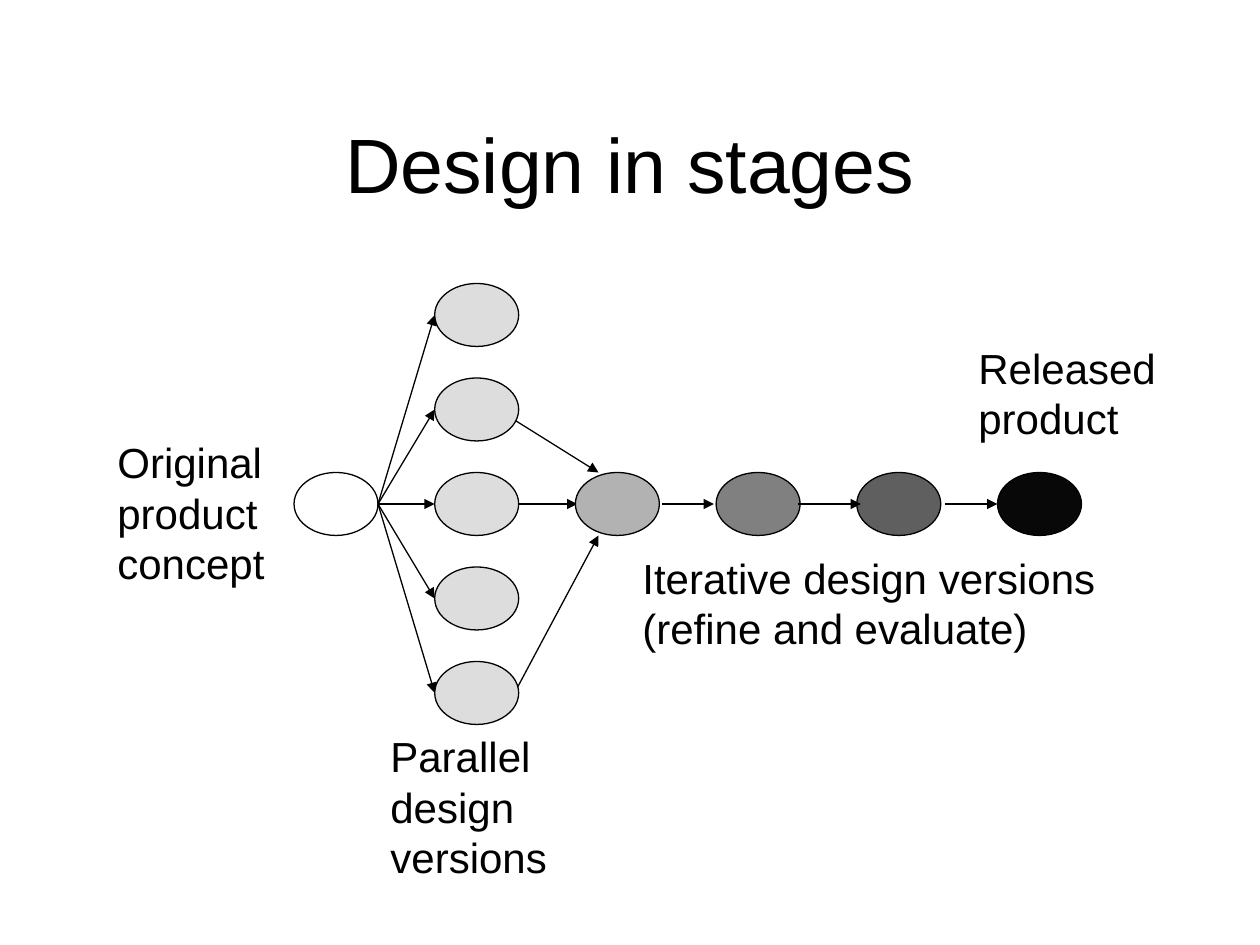
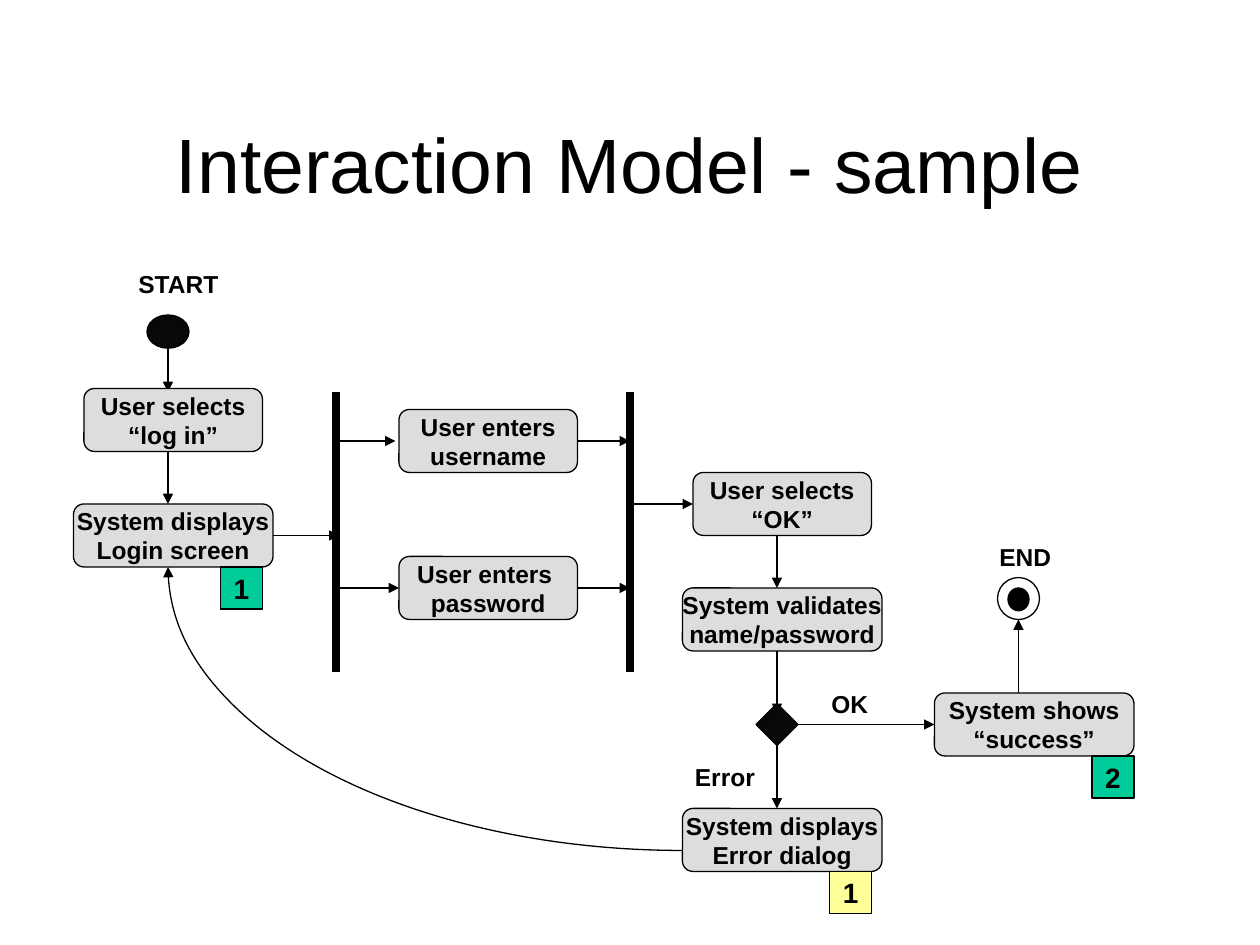
import pptx
import pptx.dml.color
import pptx.enum.shapes
import pptx.enum.text
import pptx.oxml.ns
import pptx.util
from lxml import etree

Pt = pptx.util.Pt
RGBColor = pptx.dml.color.RGBColor
SHAPE = pptx.enum.shapes.MSO_SHAPE
ALIGN = pptx.enum.text.PP_ALIGN
ANCHOR = pptx.enum.text.MSO_ANCHOR
AUTO = pptx.enum.text.MSO_AUTO_SIZE
qn = pptx.oxml.ns.qn

FONT = "Arial"
BLACK = RGBColor(0x00, 0x00, 0x00)
WHITE = RGBColor(0xFF, 0xFF, 0xFF)
INK = RGBColor(0x08, 0x08, 0x08)
PALE = RGBColor(0xDD, 0xDD, 0xDD)
SILVER = RGBColor(0xB2, 0xB2, 0xB2)
MID = RGBColor(0x80, 0x80, 0x80)
DARK = RGBColor(0x5F, 0x5F, 0x5F)
GREEN = RGBColor(0x00, 0xCC, 0x99)
YELLOW = RGBColor(0xFF, 0xFF, 0x99)


# ---- Kinds of element ----
def write(tf, text, size=14, bold=False, align=ALIGN.LEFT, anchor=ANCHOR.TOP,
          wrap=True, auto=AUTO.NONE):
    """Fill a text frame, one paragraph per line of text."""
    tf.word_wrap = wrap
    tf.auto_size = auto
    tf.vertical_anchor = anchor
    for i, line in enumerate(text.split("\n")):
        p = tf.paragraphs[0] if i == 0 else tf.add_paragraph()
        p.alignment = align
        r = p.add_run()
        r.text = line
        r.font.name = FONT
        r.font.size = Pt(size)
        r.font.bold = bold
        r.font.color.rgb = BLACK


def add_titled_slide(prs, title):
    s = prs.slides.add_slide(prs.slide_layouts[5])
    sp = s.shapes.title
    sp.left, sp.top, sp.width, sp.height = Pt(54), Pt(48), Pt(612), Pt(90)
    write(sp.text_frame, title, size=44, align=ALIGN.CENTER,
          anchor=ANCHOR.MIDDLE)
    return s


def add_label(s, text, x, y, w, h, **fmt):
    sp = s.shapes.add_textbox(Pt(x), Pt(y), Pt(w), Pt(h))
    write(sp.text_frame, text, auto=AUTO.SHAPE_TO_FIT_TEXT, **fmt)


def add_node(s, kind, x, y, w, h, fill=None, text=None, size=14):
    sp = s.shapes.add_shape(kind, Pt(x), Pt(y), Pt(w), Pt(h))
    sp.shadow.inherit = False
    if fill is None:
        sp.fill.background()
    else:
        sp.fill.solid()
        sp.fill.fore_color.rgb = fill
    sp.line.color.rgb = BLACK
    sp.line.width = Pt(0.75)
    if text:
        write(sp.text_frame, text, size=size, bold=True, align=ALIGN.CENTER,
              anchor=ANCHOR.MIDDLE, wrap=False)
    return sp


def add_arrowhead(sp):
    ln = sp._element.spPr.find(qn("a:ln"))
    etree.SubElement(ln, qn("a:tailEnd"), type="triangle")


def add_line(s, x1, y1, x2, y2, width=0.75, arrow=True):
    line = s.shapes.add_connector(pptx.enum.shapes.MSO_CONNECTOR.STRAIGHT,
                                  Pt(x1), Pt(y1), Pt(x2), Pt(y2))
    line.line.color.rgb = BLACK
    line.line.width = Pt(width)
    if arrow:
        add_arrowhead(line)
    etree.SubElement(line._element.spPr, qn("a:effectLst"))


# ---- Slide 1 ----
def build_stages(prs):
    s = add_titled_slide(prs, "Design in stages")
    first_x, step_x, mid_y, step_y = 192, 80.4, 288, 54

    def add_version(col, row, fill):
        add_node(s, SHAPE.OVAL, first_x + col * step_x - 24,
                 mid_y + row * step_y - 18, 48, 36, fill)

    # Parallel versions merging into one
    for x1, y1, x2, y2 in [(294, 240, 342, 270), (294, 288, 330, 288),
                           (294, 396, 342, 306)]:
        add_line(s, x1, y1, x2, y2)

    # Concept fanning out to parallel versions
    add_version(0, 0, None)
    for row in range(-2, 3):
        add_version(1, row, PALE)
        add_line(s, 216, mid_y, 248.4, mid_y + row * step_y)

    # Iterative versions up to release
    for col, fill in enumerate([SILVER, MID, DARK, INK], start=2):
        add_version(col, 0, fill)
    for x1, x2 in [(378, 408), (456, 492), (540, 570)]:
        add_line(s, x1, mid_y, x2, mid_y)

    for text, x, y, w, h in [
        ("Original product concept", 60, 246, 114, 94),
        ("Parallel design versions", 216, 414, 121, 94),
        ("Iterative design versions (refine and evaluate)", 360, 312, 276, 65),
        ("Released product", 552, 192, 121, 65),
    ]:
        add_label(s, text, x, y, w, h, size=24)


# ---- Slide 2 ----
def build_interaction(prs):
    s = add_titled_slide(prs, "Interaction Model - sample")

    # Return path from the error dialog to the login screen
    arc = add_node(s, SHAPE.ARC, 96, 162, 588, 324)
    arc.adjustments[0], arc.adjustments[1] = 54, 108  # 90 to 180 degrees
    add_arrowhead(arc)

    # Flow arrows
    for x1, y1, x2, y2 in [
        (96, 198, 96, 224), (96, 258, 96, 288), (156, 306, 194, 306),
        (192, 252, 226, 252), (192, 336, 228, 336),
        (330, 252, 360, 252), (330, 336, 360, 336), (360, 288, 396, 288),
        (444, 306, 444, 336), (444, 372, 444, 408), (456, 414, 534, 414),
        (444, 426, 444, 462), (582, 396, 582, 354),
    ]:
        add_line(s, x1, y1, x2, y2)

    # Fork and join bars
    for x in (192, 360):
        add_line(s, x, 224, x, 384, width=4.5, arrow=False)

    # Steps
    for text, x, y, w in [
        ("User selects\n“log in”", 48, 222, 102),
        ("System displays\nLogin screen", 42, 288, 114),
        ("User enters\nusername", 228, 234, 102),
        ("User enters \npassword", 228, 318, 102),
        ("User selects\n“OK”", 396, 270, 102),
        ("System validates\nname/password", 390, 336, 114),
        ("System displays\nError dialog", 390, 462, 114),
        ("System shows\n“success”", 534, 396, 114),
    ]:
        add_node(s, SHAPE.ROUNDED_RECTANGLE, x, y, w, 36, PALE, text)

    # Start, decision and end marks
    add_node(s, SHAPE.OVAL, 84, 180, 24, 19, INK)
    add_node(s, SHAPE.DIAMOND, 432, 402, 24, 24, INK)
    add_node(s, SHAPE.OVAL, 570, 330, 24, 24, WHITE)
    add_node(s, SHAPE.OVAL, 576, 336, 12, 13, BLACK)

    # Labels, each wide enough to stay on one line
    for text, x, y, w in [("START", 72, 150, 66), ("END", 564, 306, 50),
                          ("OK", 468, 390, 42), ("Error", 390, 432, 54)]:
        add_label(s, text, x, y, w, 24.5, bold=True)

    # Numbered screen tags
    for text, x, y, fill in [("1", 126, 324, GREEN), ("2", 624, 432, GREEN),
                             ("1", 474, 498, YELLOW)]:
        add_node(s, SHAPE.RECTANGLE, x, y, 24, 24, fill, text, size=16)


def main():
    prs = pptx.Presentation()
    prs.slide_width, prs.slide_height = Pt(720), Pt(540)
    build_stages(prs)
    build_interaction(prs)
    prs.save("out.pptx")


if __name__ == "__main__":
    main()
